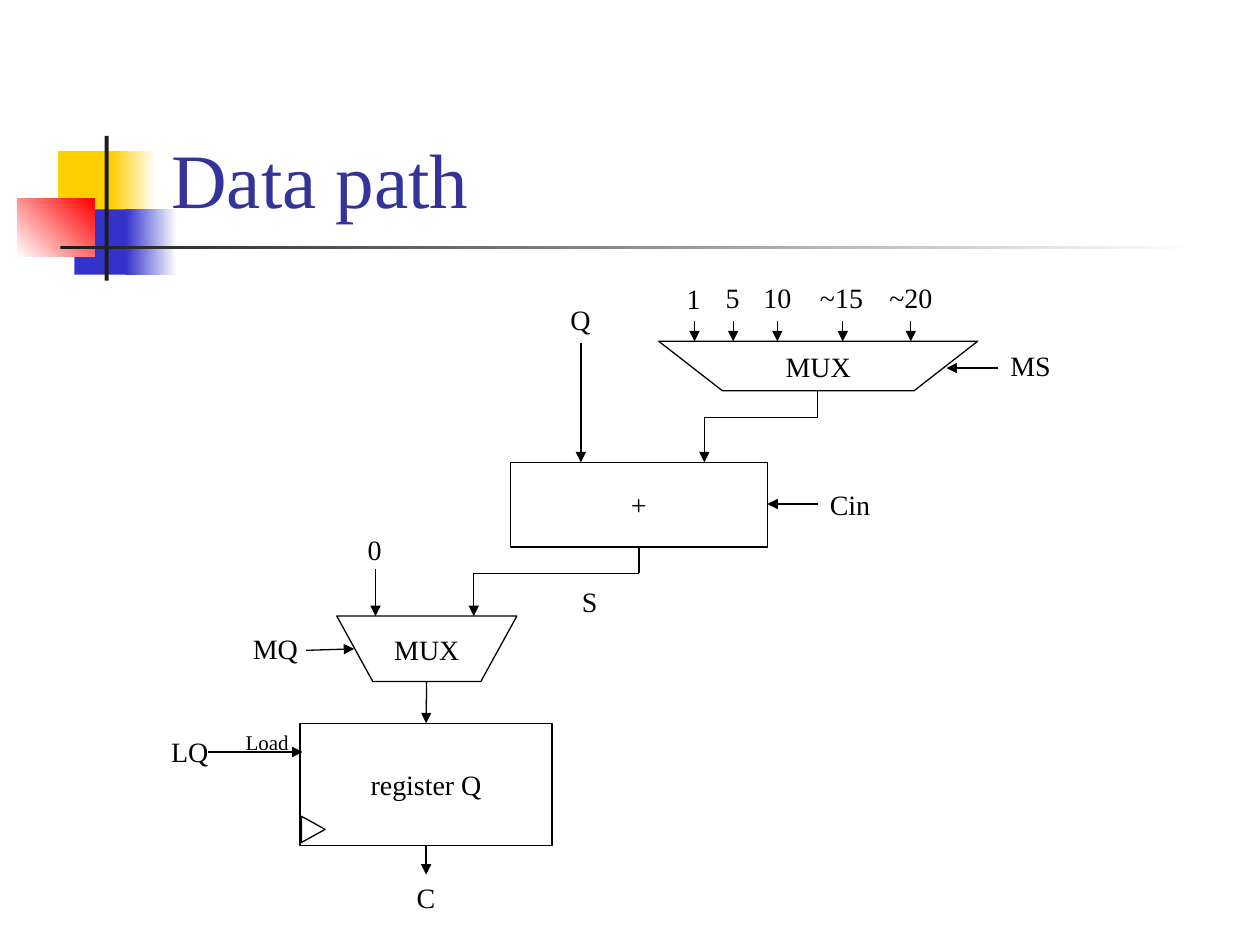
from lxml import etree
from pptx import Presentation
from pptx.dml.color import RGBColor
from pptx.enum.shapes import MSO_CONNECTOR, MSO_SHAPE
from pptx.enum.text import MSO_ANCHOR, MSO_AUTO_SIZE, PP_ALIGN
from pptx.oxml.ns import qn
from pptx.util import Cm, Pt

RECT = MSO_SHAPE.RECTANGLE
MUX = MSO_SHAPE.FLOWCHART_MANUAL_OPERATION
WEDGE = MSO_SHAPE.ISOSCELES_TRIANGLE
LINE = MSO_CONNECTOR.STRAIGHT
MIDDLE, BOTTOM = MSO_ANCHOR.MIDDLE, MSO_ANCHOR.BOTTOM
LEFT, CENTER = PP_ALIGN.LEFT, PP_ALIGN.CENTER
GROW, FIXED = MSO_AUTO_SIZE.SHAPE_TO_FIT_TEXT, MSO_AUTO_SIZE.NONE


def color(code):
    return RGBColor.from_string(code)


def write(shape, text, size, align, code="000000"):
    shape.text_frame.text = text
    para = shape.text_frame.paragraphs[0]
    para.alignment = align
    font = para.runs[0].font
    font.name = "Times New Roman"
    font.size = Pt(size)
    font.color.rgb = color(code)


deck = Presentation()
deck.slide_width, deck.slide_height = Cm(25.4), Cm(19.05)
slide = deck.slides.add_slide(deck.slide_layouts[5])
shapes = slide.shapes

accents = [
    (1.17, 3.05, 1.22, 1.32, ["FFCF01"], 0),
    (2.24, 3.05, 0.91, 1.32, ["FFCF01", "FFFFFF"], 0),
    (1.5, 4.22, 1.17, 1.32, ["3333CC"], 0),
    (2.54, 4.22, 1.02, 1.32, ["3333CC", "FFFFFF"], 0),
    (0.35, 4.01, 1.55, 1.17, ["FFFFFF", "FF0000"], 45),
    (2.11, 2.74, 0.08, 2.92, ["1C1C1C"], 0),
    (1.22, 4.95, 22.86, 0.08, ["1C1C1C", "FFFFFF"], 0),
]
for x, y, w, h, codes, angle in accents:
    accent = shapes.add_shape(RECT, Cm(x), Cm(y), Cm(w), Cm(h))
    accent.shadow.inherit = False
    accent.line.fill.background()
    if len(codes) == 1:
        accent.fill.solid()
        accent.fill.fore_color.rgb = color(codes[0])
    else:
        accent.fill.gradient()
        accent.fill.gradient_angle = angle
        for stop, code, place in zip(accent.fill.gradient_stops, codes, (0, 1)):
            stop.color.rgb = color(code)
            stop.position = place

title = shapes.title
title.left, title.top, title.width, title.height = Cm(3.2), Cm(0.58), Cm(21.64), Cm(4.06)
write(title, "Data path", 44, LEFT, "333399")
title.text_frame.vertical_anchor = BOTTOM
title.text_frame.auto_size = FIXED

blocks = [
    (MUX, 13.28, 6.88, 6.43, 1.0, "MUX", 0),
    (RECT, 10.29, 9.32, 5.18, 1.71, "+", 0),
    (MUX, 6.79, 12.42, 3.63, 1.32, "MUX", 0),
    (RECT, 6.05, 14.58, 5.08, 2.46, "register Q", 0),
    (WEDGE, 6.05, 16.48, 0.53, 0.48, "", 90),
]
for kind, x, y, w, h, text, turn in blocks:
    block = shapes.add_shape(kind, Cm(x), Cm(y), Cm(w), Cm(h))
    block.shadow.inherit = False
    block.fill.background()
    block.line.color.rgb = color("000000")
    block.line.width = Pt(0.75)
    block.rotation = turn
    if text:
        write(block, text, 16, CENTER)
        block.text_frame.vertical_anchor = MIDDLE

labels = [
    ("1", 13.59, 5.56, 0.79, 16),
    ("5", 14.38, 5.54, 0.79, 16),
    ("10", 15.14, 5.54, 1.09, 16),
    ("~15", 16.28, 5.54, 1.4, 16),
    ("~20", 17.68, 5.54, 1.4, 16),
    ("MS", 20.12, 6.91, 1.35, 16),
    ("Q", 11.25, 5.97, 0.91, 16),
    ("Cin", 16.48, 9.7, 1.35, 16),
    ("0", 7.16, 10.62, 0.79, 16),
    ("S", 11.48, 11.66, 0.84, 16),
    ("MQ", 4.85, 12.6, 1.42, 16),
    ("Load", 4.7, 14.58, 1.4, 12),
    ("LQ", 3.2, 14.68, 1.27, 16),
    ("C", 8.15, 17.63, 0.89, 16),
]
for text, x, y, w, size in labels:
    label = shapes.add_textbox(Cm(x), Cm(y), Cm(w), Cm(0.94 if size == 16 else 0.76))
    write(label, text, size, LEFT)
    label.text_frame.word_wrap = False
    label.text_frame.auto_size = GROW

routes = [
    [(20.12, 7.42), (19.08, 7.42)],
    [(16.48, 7.88), (16.48, 8.41), (14.2, 8.41), (14.2, 9.32)],
    [(11.71, 6.91), (11.71, 9.32)],
    [(16.48, 10.16), (15.47, 10.16)],
    [(12.88, 11.03), (12.88, 11.56), (9.55, 11.56), (9.55, 12.42)],
    [(7.57, 11.48), (7.57, 12.42)],
    [(6.17, 13.11), (7.14, 13.08)],
    [(8.6, 13.74), (8.59, 14.58)],
    [(4.19, 15.16), (6.1, 15.16)],
    [(8.59, 17.04), (8.59, 17.63)],
]
routes += [[(x, 6.48), (x, 6.88)] for x in (14.0, 14.78, 15.67, 16.99, 18.36)]
for route in routes:
    for start, end in zip(route, route[1:]):
        wire = shapes.add_connector(LINE, *map(Cm, start + end))
        wire.line.color.rgb = color("000000")
        wire.line.width = Pt(0.75)
        if end == route[-1]:
            etree.SubElement(wire.line._get_or_add_ln(), qn("a:tailEnd"), type="triangle")
        etree.SubElement(wire._element.spPr, qn("a:effectLst"))

deck.save("out.pptx")
